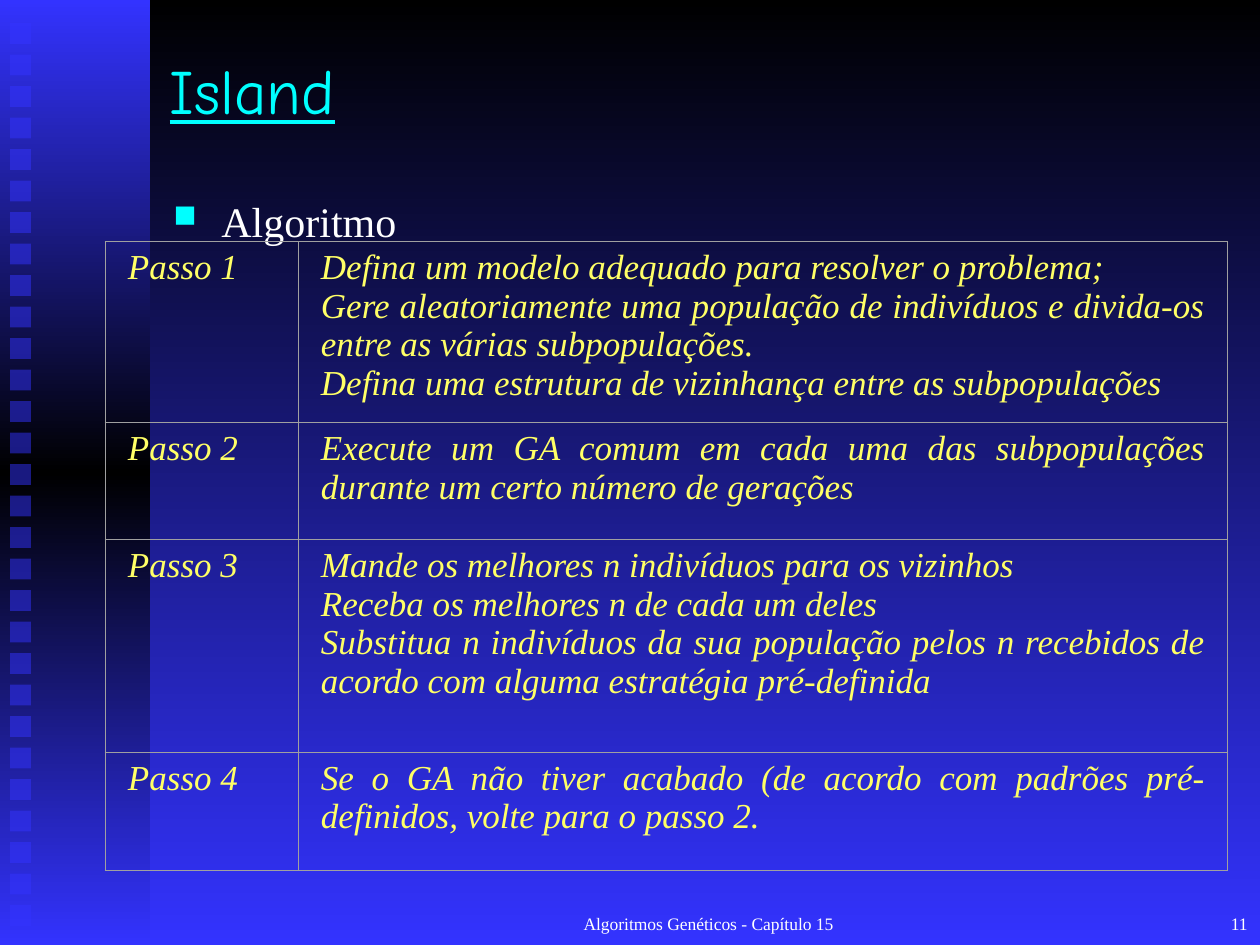
import copy
from dataclasses import dataclass

import pptx
import pptx.dml.color
import pptx.enum.shapes
import pptx.enum.text
import pptx.oxml
import pptx.oxml.ns
import pptx.util

# Content
TITLE = "Island"
HEADING = "Algoritmo"
STEPS = [
    ("Passo 1", [
        "Defina um modelo adequado para resolver o problema;",
        "Gere aleatoriamente uma população de indivíduos e divida-os entre as várias subpopulações.",
        "Defina uma estrutura de vizinhança entre as subpopulações",
    ]),
    ("Passo 2", [
        "Execute um GA comum em cada uma das subpopulações durante um certo número de gerações",
    ]),
    ("Passo 3", [
        "Mande os melhores n indivíduos para os vizinhos",
        "Receba os melhores n de cada um deles",
        "Substitua n indivíduos da sua população pelos n recebidos de acordo com alguma estratégia pré-definida",
    ]),
    ("Passo 4", [
        "Se o GA não tiver acabado (de acordo com padrões pré-definidos, volte para o passo 2.",
    ]),
]
FOOTER = "Algoritmos Genéticos - Capítulo 15"
PAGE_NUMBER = "11"


@dataclass(frozen=True)
class Theme:
    black: str = "000000"
    blue: str = "3333FF"
    cyan: str = "00FFFF"
    white: str = "FFFFFF"
    yellow: str = "FFFF66"
    border: str = "A0A0A0"
    title_font: str = "Comic Neue"
    text_font: str = "Times New Roman"
    title_size: int = 36
    heading_size: int = 24
    table_size: int = 20
    footer_size: int = 10
    border_width: float = 0.62


THEME = Theme()
ALIGN = pptx.enum.text.PP_ALIGN
ANCHOR = pptx.enum.text.MSO_ANCHOR

# Layout in px, 126 to the inch
SLIDE_WIDTH, SLIDE_HEIGHT = 1260, 945
PANEL_WIDTH = 150
SQUARE_LEFT, SQUARE_TOP, SQUARE_SIZE, SQUARE_COUNT = 10, 23, 21, 29
SQUARE_STEP = 63 / 2
TABLE_LEFT, TABLE_TOP = 105, 242
COLUMN_WIDTHS = [193, 930]
ROW_HEIGHTS = [181, 117, 213, 118]
CELL_SIDE, CELL_TOP = 23, 6


def px(length):
    return pptx.util.Emu(round(length * 914400 / 126))


def rgb(colour):
    return pptx.dml.color.RGBColor.from_string(colour)


def xml(markup):
    namespace = pptx.oxml.ns.nsdecls("a")
    return pptx.oxml.parse_xml(markup.replace("/>", f" {namespace}/>", 1)
                               if markup.endswith("/>") and markup.count("<") == 1
                               else markup.replace(">", f" {namespace}>", 1))


def paint_gradient(element, fill, colours):
    """Fill from top to bottom with evenly spaced colours."""
    fill.gradient()
    fill.gradient_angle = 270
    stops = element.find(".//" + pptx.oxml.ns.qn("a:gsLst"))
    while len(stops) < len(colours):
        stops.append(copy.deepcopy(stops[-1]))
    for index, (stop, colour) in enumerate(zip(fill.gradient_stops, colours)):
        stop.position = index / (len(colours) - 1)
        stop.color.rgb = rgb(colour)


def write(frame, text, *, size, colour, font=THEME.text_font, align=ALIGN.LEFT,
          anchor=ANCHOR.TOP, italic=False, underline=False, margin=0, indent=0,
          bullet=None):
    """Write a string or a list of paragraphs into a text frame."""
    frame.word_wrap = True
    frame.vertical_anchor = anchor
    lines = [text] if isinstance(text, str) else text
    for index, line in enumerate(lines):
        para = frame.paragraphs[0] if index == 0 else frame.add_paragraph()
        para.alignment = align
        properties = para._p.get_or_add_pPr()
        properties.set("marL", str(px(margin)))
        properties.set("indent", str(px(indent)))
        if bullet:
            properties.append(xml(f'<a:buClr><a:srgbClr val="{THEME.cyan}"/></a:buClr>'))
            properties.append(xml('<a:buSzPct val="75000"/>'))
            properties.append(xml(f'<a:buChar char="{bullet}"/>'))
        span = para.add_run()
        span.text = line
        span.font.name = font
        span.font.size = pptx.util.Pt(size)
        span.font.color.rgb = rgb(colour)
        span.font.bold = False
        span.font.italic = italic
        span.font.underline = underline


def add_text(page, place, text, **style):
    box = page.shapes.add_textbox(*map(px, place))
    write(box.text_frame, text, **style)


def add_rectangle(page, *place):
    box = page.shapes.add_shape(pptx.enum.shapes.MSO_SHAPE.RECTANGLE, *map(px, place))
    box.shadow.inherit = False
    box.line.fill.background()
    return box


def add_sidebar(page):
    panel = add_rectangle(page, 0, 0, PANEL_WIDTH, SLIDE_HEIGHT)
    paint_gradient(panel._element, panel.fill, [THEME.blue, THEME.black, THEME.blue])
    for index in range(SQUARE_COUNT):
        square = add_rectangle(page, SQUARE_LEFT, SQUARE_TOP + index * SQUARE_STEP,
                               SQUARE_SIZE, SQUARE_SIZE)
        square.fill.solid()
        square.fill.fore_color.rgb = rgb(THEME.blue)
        colour = square._element.spPr.find(".//" + pptx.oxml.ns.qn("a:srgbClr"))
        colour.append(xml('<a:alpha val="50000"/>'))


def format_cell(cell, text):
    cell.margin_left = cell.margin_right = px(CELL_SIDE)
    cell.margin_top = cell.margin_bottom = px(CELL_TOP)
    properties = cell._tc.get_or_add_tcPr()
    width = pptx.util.Pt(THEME.border_width)
    for side in ("lnL", "lnR", "lnT", "lnB"):
        properties.append(xml(f'<a:{side} w="{width}"><a:solidFill><a:srgbClr '
                              f'val="{THEME.border}"/></a:solidFill></a:{side}>'))
    cell.fill.background()
    write(cell.text_frame, text, size=THEME.table_size, colour=THEME.yellow,
          align=ALIGN.JUSTIFY, italic=True)


def add_steps(page):
    frame = page.shapes.add_table(len(STEPS), len(COLUMN_WIDTHS), px(TABLE_LEFT),
                                  px(TABLE_TOP), px(sum(COLUMN_WIDTHS)),
                                  px(sum(ROW_HEIGHTS)))
    table = frame.table
    table.first_row = table.horz_banding = False
    for column, width in zip(table.columns, COLUMN_WIDTHS):
        column.width = px(width)
    for row, height, step in zip(table.rows, ROW_HEIGHTS, STEPS):
        row.height = px(height)
        for cell, text in zip(row.cells, step):
            format_cell(cell, text)


def main():
    deck = pptx.Presentation()
    deck.slide_width, deck.slide_height = px(SLIDE_WIDTH), px(SLIDE_HEIGHT)
    page = deck.slides.add_slide(deck.slide_layouts[5])
    background = page.background.fill
    paint_gradient(page._element, background, [THEME.black, THEME.blue])
    add_sidebar(page)

    # Title and heading
    title = page.shapes.title
    title.left, title.top, title.width, title.height = map(px, (157, 10, 1071, 158))
    write(title.text_frame, TITLE, size=THEME.title_size, colour=THEME.cyan,
          font=THEME.title_font, anchor=ANCHOR.MIDDLE, underline=True)
    add_text(page, (161, 189, 1071, 683), HEADING, size=THEME.heading_size,
             colour=THEME.white, align=ALIGN.JUSTIFY, margin=48, indent=-48, bullet="■")

    add_steps(page)

    # Footer
    for left, width, text, align in ((494, 399, FOOTER, ALIGN.CENTER),
                                     (998, 262, PAGE_NUMBER, ALIGN.RIGHT)):
        add_text(page, (left, 892, width, 63), text, size=THEME.footer_size,
                 colour=THEME.white, align=align, anchor=ANCHOR.MIDDLE, margin=30)
    deck.save("out.pptx")


if __name__ == "__main__":
    main()
